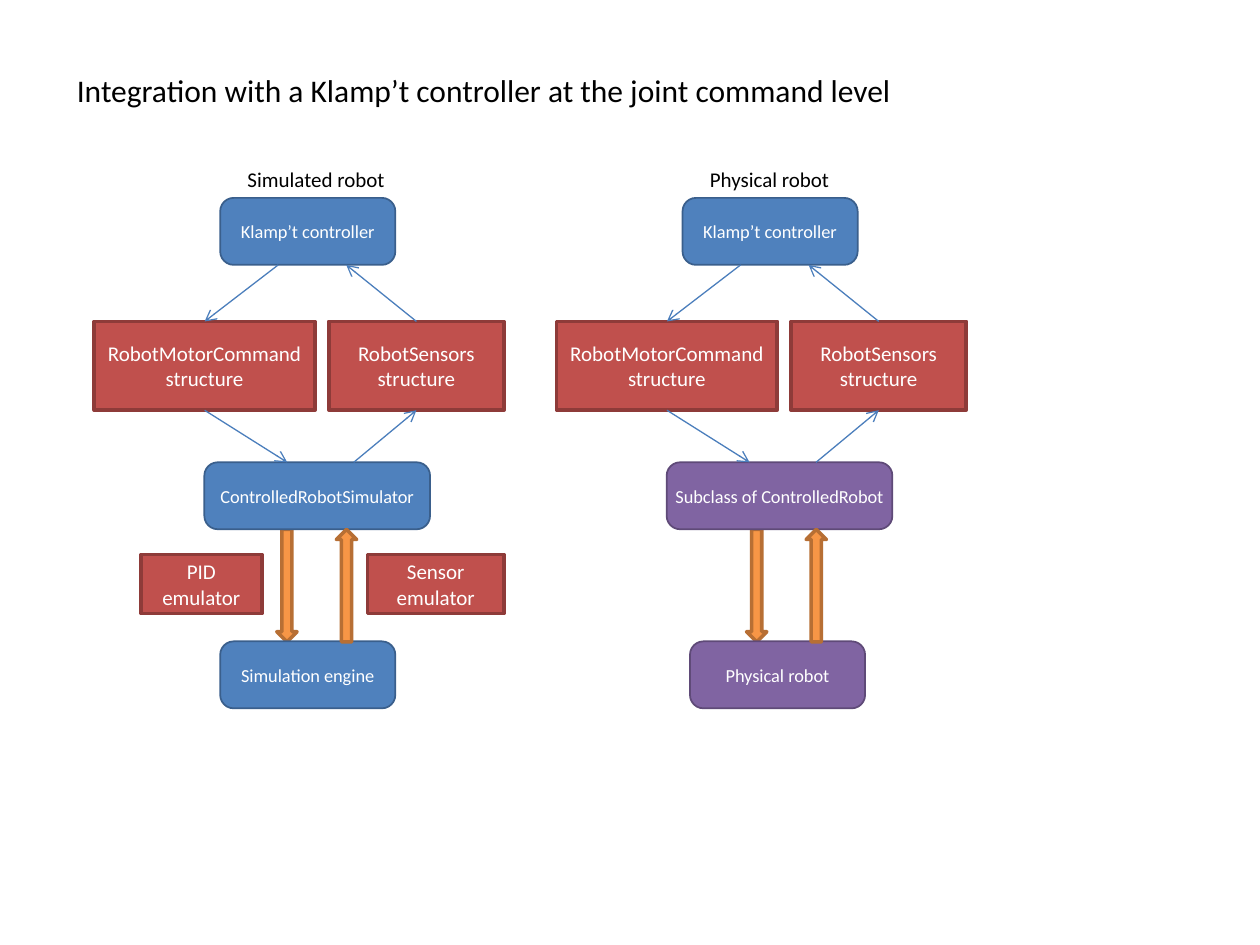
import pptx
import pptx.dml.color
import pptx.enum.shapes
import pptx.enum.text
import pptx.oxml
import pptx.oxml.ns
import pptx.util

Cm = pptx.util.Cm
Pt = pptx.util.Pt
SHAPES = pptx.enum.shapes.MSO_SHAPE

BLUE = ("4F81BD", "3A5F8C")
RED = ("C0504D", "8E3B39")
PURPLE = ("8064A2", "5F4A78")
ORANGE = ("F79646", "B76F34")
LINK_COLOUR = "4B7EBC"

BOX_HEIGHT = 1.35
BOX_WIDTH = 3.53


def colour(hex_string):
    return pptx.dml.color.RGBColor.from_string(hex_string)


def write(text_frame, text, size, text_colour, alignment):
    paragraph = text_frame.paragraphs[0]
    paragraph.text = text
    paragraph.alignment = alignment
    paragraph.font.name = "Calibri"
    paragraph.font.size = Pt(size)
    paragraph.font.color.rgb = colour(text_colour)


def add_label(slide, left, top, width, height, text, size):
    text_frame = slide.shapes.add_textbox(
        Cm(left), Cm(top), Cm(width), Cm(height)).text_frame
    text_frame.word_wrap = False
    text_frame.auto_size = pptx.enum.text.MSO_AUTO_SIZE.SHAPE_TO_FIT_TEXT
    write(text_frame, text, size, "000000", pptx.enum.text.PP_ALIGN.LEFT)


def add_filled(slide, preset, left, top, width, height, colours, line_width):
    shape = slide.shapes.add_shape(
        preset, Cm(left), Cm(top), Cm(width), Cm(height))
    shape.shadow.inherit = False
    fill_colour, line_colour = colours
    shape.fill.solid()
    shape.fill.fore_color.rgb = colour(fill_colour)
    shape.line.color.rgb = colour(line_colour)
    shape.line.width = Pt(line_width)
    return shape


def add_box_text(shape, text, size):
    text_frame = shape.text_frame
    text_frame.word_wrap = True
    text_frame.vertical_anchor = pptx.enum.text.MSO_ANCHOR.MIDDLE
    write(text_frame, text, size, "FFFFFF", pptx.enum.text.PP_ALIGN.CENTER)


def add_component(slide, left, top, width, text, colours):
    """Rounded box for a controller, simulator or robot."""
    shape = add_filled(slide, SHAPES.ROUNDED_RECTANGLE,
                       left, top, width, BOX_HEIGHT, colours, 1)
    shape.adjustments[0] = 0.2
    text_frame = shape.text_frame
    text_frame.margin_left = text_frame.margin_right = 0
    text_frame.margin_top = text_frame.margin_bottom = 0
    add_box_text(shape, text, 10.5)


def add_structure(slide, left, top, width, height, text):
    """Square-cornered red box for a data structure or emulator."""
    shape = add_filled(slide, SHAPES.RECTANGLE,
                       left, top, width, height, RED, 2)
    add_box_text(shape, text, 12)


def add_block_arrow(slide, left, top, rotation=0):
    arrow = add_filled(slide, SHAPES.DOWN_ARROW,
                       left, top, 0.41, 2.27, ORANGE, 2)
    arrow.rotation = rotation


def add_link(slide, start, end):
    connector = slide.shapes.add_connector(
        pptx.enum.shapes.MSO_CONNECTOR.STRAIGHT,
        Cm(start[0]), Cm(start[1]), Cm(end[0]), Cm(end[1]))
    connector.line.color.rgb = colour(LINK_COLOUR)
    connector.line.width = Pt(0.75)
    line = connector.line._get_or_add_ln()
    tail = pptx.oxml.parse_xml(
        "<a:tailEnd %s type='arrow'/>" % pptx.oxml.ns.nsdecls("a"))
    line.append(tail)
    effects = pptx.oxml.parse_xml(
        "<a:effectLst %s/>" % pptx.oxml.ns.nsdecls("a"))
    connector._element.spPr.append(effects)


def add_robot_stack(slide, left, top, heading, heading_width, interface,
                    base, colours, base_shift=0):
    """Controller, structures, interface and base, joined by arrows."""
    controller_top = top + 0.76
    controller_bottom = controller_top + BOX_HEIGHT
    structure_top = top + 3.25
    structure_height = 1.79
    structure_bottom = structure_top + structure_height
    interface_top = top + 6.09
    arrow_top = interface_top + BOX_HEIGHT
    base_left = left + base_shift
    command_width = 4.45
    sensors_left = left + 4.73
    command_middle = left + command_width / 2
    sensors_middle = sensors_left + BOX_WIDTH / 2

    add_block_arrow(slide, base_left + 3.68, arrow_top)
    add_label(slide, left + 2.84, top, heading_width, 0.76, heading, 12)
    add_component(slide, left + 2.54, controller_top, BOX_WIDTH,
                  "Klamp’t controller", BLUE)
    add_structure(slide, left, structure_top, command_width,
                  structure_height, "RobotMotorCommand structure")
    add_structure(slide, sensors_left, structure_top, BOX_WIDTH,
                  structure_height, "RobotSensors structure")
    add_component(slide, left + 2.22, interface_top, 4.55, interface, colours)
    add_component(slide, base_left + 2.54, top + 9.7, BOX_WIDTH, base, colours)

    add_link(slide, (left + 3.71, controller_bottom),
             (command_middle, structure_top))
    add_link(slide, (command_middle, structure_bottom),
             (left + 3.89, interface_top))
    add_link(slide, (left + 5.23, interface_top),
             (sensors_middle, structure_bottom))
    add_link(slide, (sensors_middle, structure_top),
             (left + 5.08, controller_bottom))
    add_block_arrow(slide, base_left + 4.88, arrow_top, rotation=180)


def add_emulators(slide, left, top):
    for offset, width, text in ((0, 2.44, "PID emulator"),
                                (4.57, 2.75, "Sensor emulator")):
        add_structure(slide, left + offset, top, width, 1.19, text)


def main():
    presentation = pptx.Presentation()
    presentation.slide_width = Cm(25.4)
    presentation.slide_height = Cm(19.05)
    slide = presentation.slides.add_slide(presentation.slide_layouts[6])

    add_label(slide, 1.3, 1.3, 16.97, 1.02,
              "Integration with a Klamp’t controller at the joint command level",
              18)
    add_robot_stack(slide, 1.9, 3.23, "Simulated robot", 3.3,
                    "ControlledRobotSimulator", "Simulation engine", BLUE)
    add_emulators(slide, 2.84, 11.18)
    add_robot_stack(slide, 11.22, 3.23, "Physical robot", 2.95,
                    "Subclass of ControlledRobot", "Physical robot", PURPLE,
                    base_shift=0.15)
    presentation.save("out.pptx")


if __name__ == "__main__":
    main()
